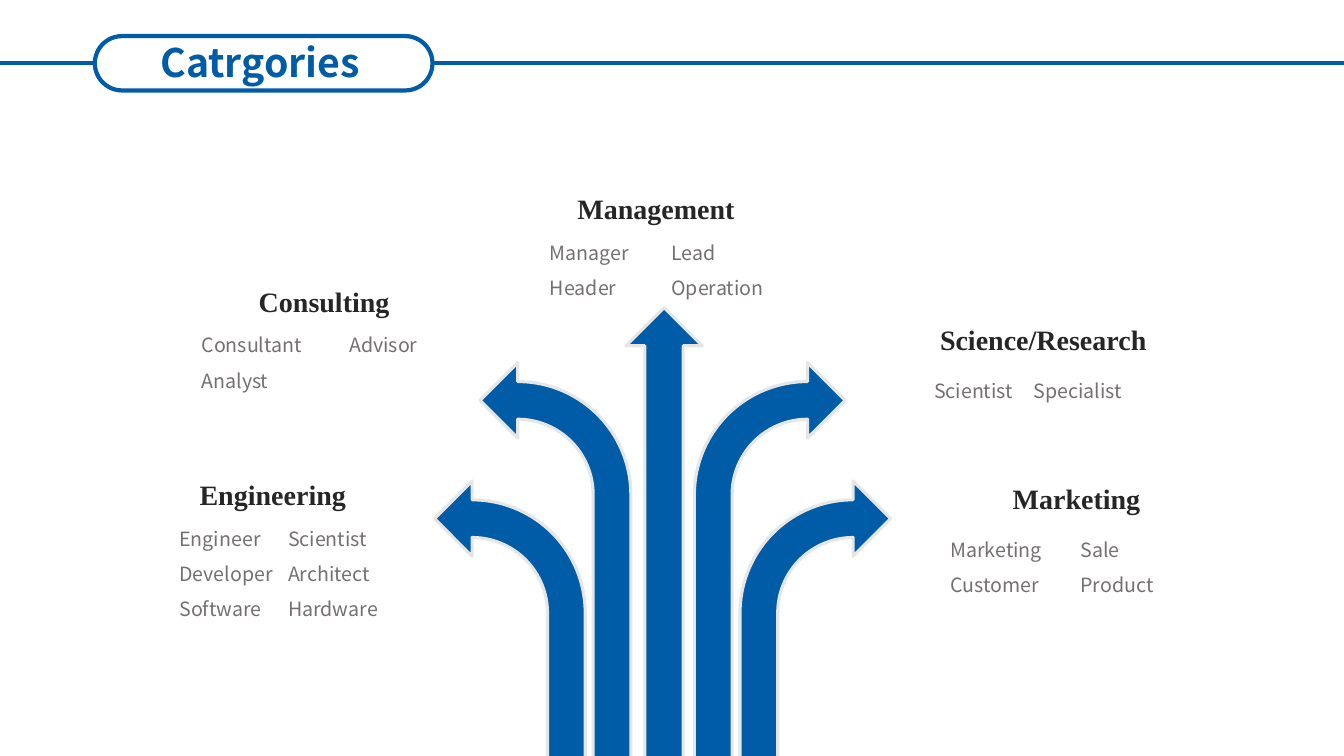
import pptx
import pptx.dml.color
import pptx.enum.shapes
import pptx.enum.text
import pptx.oxml
import pptx.oxml.ns
import pptx.util
from pptx.util import Cm

SHAPES = pptx.enum.shapes.MSO_SHAPE
LEFT, CENTER = pptx.enum.text.PP_ALIGN.LEFT, pptx.enum.text.PP_ALIGN.CENTER
BLUE, EDGE, DARK, GREY = "005CA7", "E7E6E6", "262626", "757070"
SANS, SERIF = "Noto Sans CJK SC", "Times New Roman"
SLIDE_WIDTH, SLIDE_HEIGHT = 33.87, 19.05

TITLE = "Catrgories"
TITLE_BOX = (2.26, 0.84, 8.59, 1.45)
PILL = (2.39, 0.91, 8.51, 1.37)

# heading, alignment, heading box (left, top, width), list box, tab stop, rows
CATEGORIES = [
    ("Engineering", LEFT, (4.78, 11.91, 4.67), (4.27, 12.85, 5.92), 2.74,
     [("Engineer", "Scientist"), ("Developer", "Architect"), ("Software", "Hardware")]),
    ("Consulting", LEFT, (6.27, 7.04, 4.67), (4.83, 7.98, 6.83), 3.72,
     [("Consultant", "Advisor"), ("Analyst",)]),
    ("Management", LEFT, (14.3, 4.7, 4.67), (13.61, 5.64, 6.83), 3.06,
     [("Manager", "Lead"), ("Header", "Operation")]),
    ("Science/Research", LEFT, (23.44, 8.0, 6.5), (23.29, 9.12, 6.83), 2.51,
     [("Scientist", "Specialist")]),
    ("Marketing", CENTER, (23.88, 12.01, 6.5), (23.7, 13.13, 6.83), 3.28,
     [("Marketing", "Sale"), ("Customer", "Product")]),
]
HEADING_HEIGHT, LIST_HEIGHT = 1.12, 2.69

ARROW_CENTER, ARROW_BOTTOM = 16.7, 19.15
BENT_WIDTH = 3.8
BENT_ARROWS = [(0.8, 9.14), (1.95, 12.12)]
UP_ARROW = (15.77, 7.75, 1.93)


def color(value):
    return pptx.dml.color.RGBColor.from_string(value)


def style_line(line, value, width):
    line.color.rgb = color(value)
    line.width = pptx.util.Pt(width)


def style_paragraph(para, font, size, value, bold=False):
    for span in para.runs:
        span.font.name = font
        span.font.size = pptx.util.Pt(size)
        span.font.bold = bold
        span.font.color.rgb = color(value)


def add_shape(page, preset, left, top, width, height, adjustments):
    shape = page.shapes.add_shape(preset, Cm(left), Cm(top), Cm(width), Cm(height))
    shape.shadow.inherit = False
    for index, value in enumerate(adjustments):
        shape.adjustments[index] = value
    return shape


def add_arrow(page, preset, left, top, width, adjustments, flip=False):
    arrow = add_shape(page, preset, left, top, width, ARROW_BOTTOM - top, adjustments)
    arrow.fill.solid()
    arrow.fill.fore_color.rgb = color(BLUE)
    style_line(arrow.line, EDGE, 2.25)
    if flip:
        arrow._element.spPr.xfrm.set("flipH", "1")


def add_rule(page, start, end, height):
    rule = page.shapes.add_connector(
        pptx.enum.shapes.MSO_CONNECTOR.STRAIGHT, Cm(start), Cm(height), Cm(end), Cm(height))
    style_line(rule.line, BLUE, 3)
    rule._element.spPr.append(pptx.oxml.parse_xml(
        f'<a:effectLst {pptx.oxml.ns.nsdecls("a")}/>'))


def add_text(page, area, height, lines):
    left, top, width = area
    box = page.shapes.add_textbox(Cm(left), Cm(top), Cm(width), Cm(height))
    box.text_frame.word_wrap = True
    box.text_frame.text = "\n".join(lines)
    return box.text_frame.paragraphs


def add_category(page, heading, alignment, heading_area, list_area, tab, rows):
    para = add_text(page, heading_area, HEADING_HEIGHT, [heading])[0]
    para.alignment = alignment
    style_paragraph(para, SERIF, 20, DARK, True)
    for para in add_text(page, list_area, LIST_HEIGHT, ["\t".join(row) for row in rows]):
        para._p.get_or_add_pPr().append(pptx.oxml.parse_xml(
            f'<a:tabLst {pptx.oxml.ns.nsdecls("a")}><a:tab pos="{Cm(tab)}" algn="l"/></a:tabLst>'))
        para.line_spacing = 1.5
        style_paragraph(para, SANS, 14, GREY)


def add_title(page):
    left, top, width, height = PILL
    middle = top + height / 2
    add_rule(page, 0, left, middle)
    add_rule(page, left + width, SLIDE_WIDTH, middle)
    pill = add_shape(page, SHAPES.ROUNDED_RECTANGLE, *PILL, [0.5])
    pill.fill.background()
    style_line(pill.line, BLUE, 3)

    title = page.shapes.title
    title.left, title.top, title.width, title.height = map(Cm, TITLE_BOX)
    frame = title.text_frame
    frame.text = TITLE
    frame.auto_size = pptx.enum.text.MSO_AUTO_SIZE.NONE
    frame.vertical_anchor = pptx.enum.text.MSO_ANCHOR.TOP
    frame.paragraphs[0].alignment = CENTER
    style_paragraph(frame.paragraphs[0], SANS, 28, BLUE, True)


def main():
    deck = pptx.Presentation()
    deck.slide_width, deck.slide_height = Cm(SLIDE_WIDTH), Cm(SLIDE_HEIGHT)
    page = deck.slides.add_slide(deck.slide_layouts[5])
    add_title(page)
    for offset, top in BENT_ARROWS:
        for left, flip in ((ARROW_CENTER + offset, False),
                           (ARROW_CENTER - offset - BENT_WIDTH, True)):
            add_arrow(page, SHAPES.BENT_ARROW, left, top, BENT_WIDTH,
                      [0.25, 0.25, 0.25, 0.75], flip)
    add_arrow(page, SHAPES.UP_ARROW, *UP_ARROW, [0.5, 0.5])
    for category in CATEGORIES:
        add_category(page, *category)
    deck.save("out.pptx")


if __name__ == "__main__":
    main()
